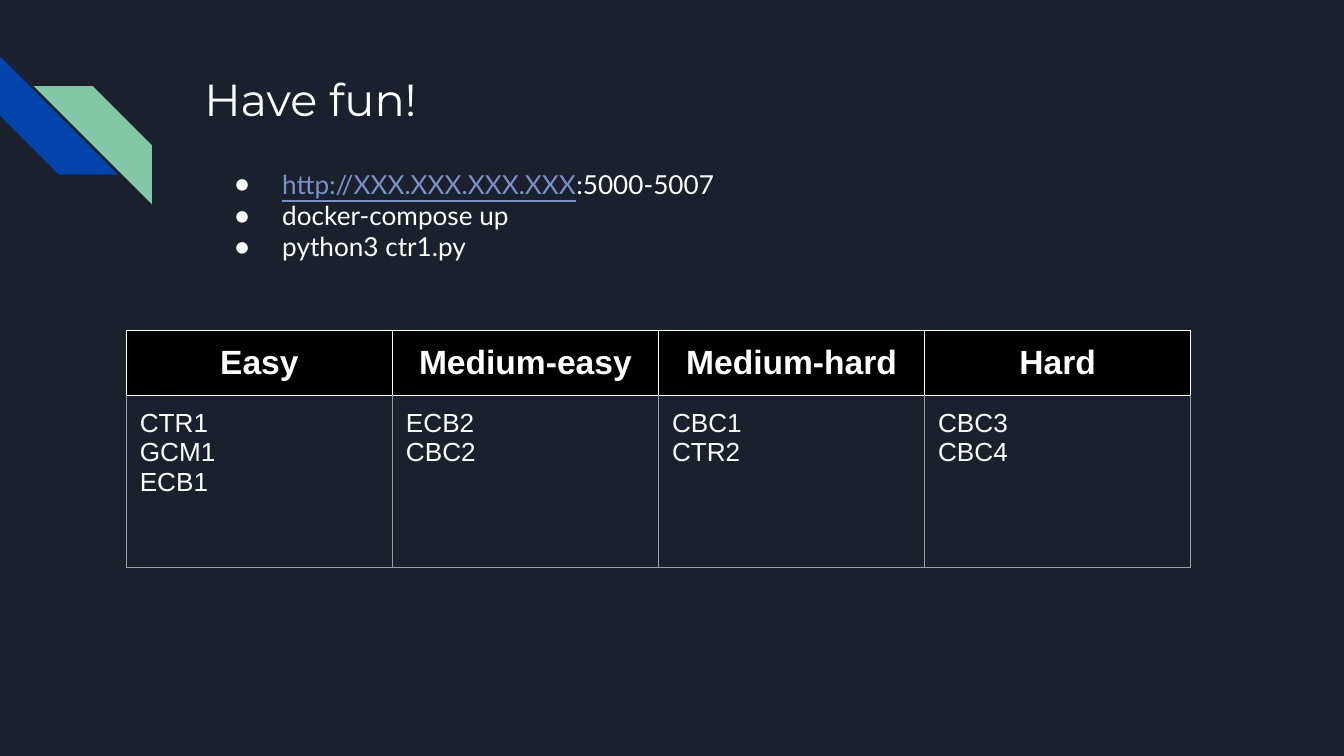
from dataclasses import dataclass

from lxml import etree
from pptx import Presentation
from pptx import util as u
from pptx.dml.color import RGBColor
from pptx.enum import shapes, text
from pptx.oxml.ns import qn

COLORS = {
    "background": "1B212C",
    "blue": "0145AC",
    "green": "82C7A5",
    "white": "FFFFFF",
    "black": "000000",
    "grey": "9E9E9E",
    "address": "7890CD",
}
MARGIN = 0.1


@dataclass
class Stripe:
    left: float
    top: float
    color: str
    rotation: int = 0
    flipped: bool = False


@dataclass
class Level:
    name: str
    challenges: list[str]


STRIPES = [
    Stripe(0, 0.42, "blue", rotation=270),
    Stripe(0.25, 0.64, "green", flipped=True),
]
LEVELS = [
    Level("Easy", ["CTR1", "GCM1", "ECB1"]),
    Level("Medium-easy", ["ECB2", "CBC2"]),
    Level("Medium-hard", ["CBC1", "CTR2"]),
    Level("Hard", ["CBC3", "CBC4"]),
]
ADDRESS = "http://XXX.XXX.XXX.XXX"
STEPS = ["docker-compose up", "python3 ctr1.py"]


def rgb(color: str) -> RGBColor:
    return RGBColor.from_string(COLORS[color])


def style_run(run, font: str, size: float, color: str = "white", bold: bool = False) -> None:
    run.font.name = font
    run.font.size = u.Pt(size)
    run.font.bold = bold
    run.font.color.rgb = rgb(color)


def place(holder, left: float, top: float, width: float, height: float) -> None:
    holder.left, holder.top = u.Inches(left), u.Inches(top)
    holder.width, holder.height = u.Inches(width), u.Inches(height)
    frame = holder.text_frame
    frame.word_wrap = True
    frame.auto_size = text.MSO_AUTO_SIZE.NONE
    frame.vertical_anchor = text.MSO_ANCHOR.TOP
    frame.margin_left = frame.margin_right = u.Inches(MARGIN)
    frame.margin_top = frame.margin_bottom = u.Inches(MARGIN)


def draw_stripe(slide, stripe: Stripe) -> None:
    side = u.Inches(0.88)
    band = slide.shapes.add_shape(
        shapes.MSO_SHAPE.DIAGONAL_STRIPE,
        u.Inches(stripe.left), u.Inches(stripe.top), side, side,
    )
    band.adjustments[0] = 0.5
    band.rotation = stripe.rotation
    if stripe.flipped:
        band._element.spPr.find(qn("a:xfrm")).set("flipH", "1")
    band.fill.solid()
    band.fill.fore_color.rgb = rgb(stripe.color)
    band.line.fill.background()
    band.shadow.inherit = False


def add_bullet(paragraph) -> None:
    paragraph.space_before = u.Pt(0)
    properties = paragraph._p.get_or_add_pPr()
    properties.set("marL", str(u.Inches(0.5)))
    properties.set("indent", str(u.Inches(-0.35)))
    tint = etree.SubElement(properties, qn("a:buClr"))
    etree.SubElement(tint, qn("a:srgbClr"), val=COLORS["white"])
    etree.SubElement(properties, qn("a:buSzPct"), val="90000")
    etree.SubElement(properties, qn("a:buFont"), typeface="Lato")
    etree.SubElement(properties, qn("a:buChar"), char="●")


def draw_steps(body) -> None:
    place(body, 1.5, 1.15, 7.1, 1.1)
    body.text_frame.text = "\n".join([ADDRESS, *STEPS])
    first = body.text_frame.paragraphs[0]
    first.add_run().text = ":5000-5007"
    for paragraph in body.text_frame.paragraphs:
        add_bullet(paragraph)
        for run in paragraph.runs:
            style_run(run, "Lato", 14)
    address = first.runs[0]
    address.font.color.rgb = rgb("address")
    address.font.underline = True


def set_borders(cell, sides: dict[str, str]) -> None:
    properties = cell._tc.get_or_add_tcPr()
    for position, (side, color) in enumerate(sides.items()):
        line = etree.Element(qn(f"a:ln{side}"), w=str(u.Pt(0.75)))
        fill = etree.SubElement(line, qn("a:solidFill"))
        etree.SubElement(fill, qn("a:srgbClr"), val=COLORS[color])
        properties.insert(position, line)


def fill_cell(cell, content: str, header: bool) -> None:
    cell.margin_left = cell.margin_right = u.Inches(MARGIN)
    cell.margin_top = cell.margin_bottom = u.Inches(MARGIN)
    cell.text_frame.text = content
    for paragraph in cell.text_frame.paragraphs:
        paragraph.alignment = text.PP_ALIGN.CENTER if header else text.PP_ALIGN.LEFT
        for run in paragraph.runs:
            style_run(run, "Arial", 18 if header else 14, bold=header)
    if header:
        cell.fill.solid()
        cell.fill.fore_color.rgb = rgb("black")
    else:
        cell.fill.background()
    edge = "white" if header else "grey"
    set_borders(cell, {"L": edge, "R": edge, "T": "white", "B": edge})


def draw_levels(slide, levels: list[Level]) -> None:
    column_width, row_heights = 1.98, (0.48, 1.28)
    table = slide.shapes.add_table(
        2, len(levels), u.Inches(0.94), u.Inches(2.46),
        u.Inches(column_width * len(levels)), u.Inches(sum(row_heights)),
    ).table
    table.horz_banding = False
    for row, height in zip(table.rows, row_heights):
        row.height = u.Inches(height)
    for index, level in enumerate(levels):
        table.columns[index].width = u.Inches(column_width)
        fill_cell(table.cell(0, index), level.name, header=True)
        fill_cell(table.cell(1, index), "\n".join(level.challenges), header=False)


def main() -> None:
    deck = Presentation()
    deck.slide_width = u.Inches(10)
    deck.slide_height = deck.slide_width * 9 // 16
    slide = deck.slides.add_slide(deck.slide_layouts[1])
    slide.background.fill.solid()
    slide.background.fill.fore_color.rgb = rgb("background")

    for stripe in STRIPES:
        draw_stripe(slide, stripe)

    title = slide.shapes.title
    place(title, 1.42, 0.43, 7.7, 1)
    title.text_frame.text = "Have fun!"
    heading = title.text_frame.paragraphs[0]
    heading.alignment = text.PP_ALIGN.LEFT
    style_run(heading.runs[0], "Montserrat", 24)

    draw_levels(slide, LEVELS)
    draw_steps(slide.placeholders[1])
    deck.save("out.pptx")


if __name__ == "__main__":
    main()
